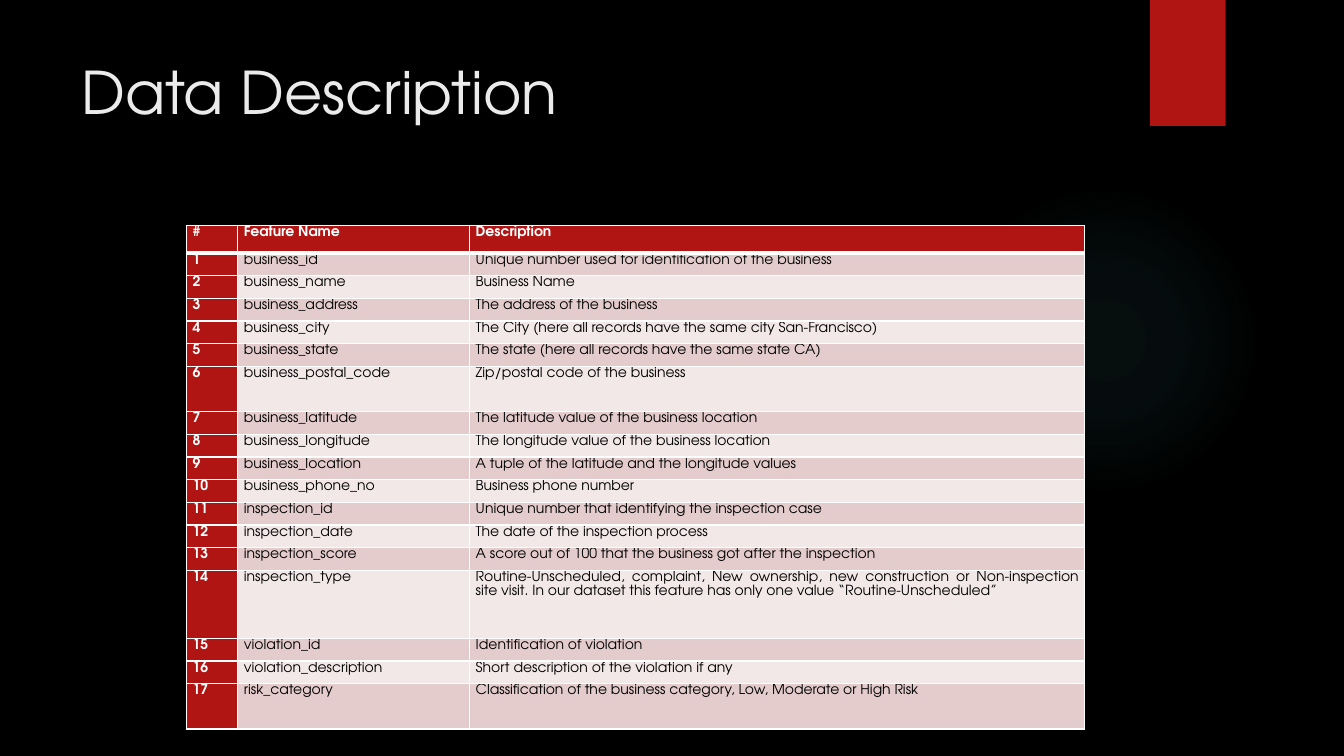
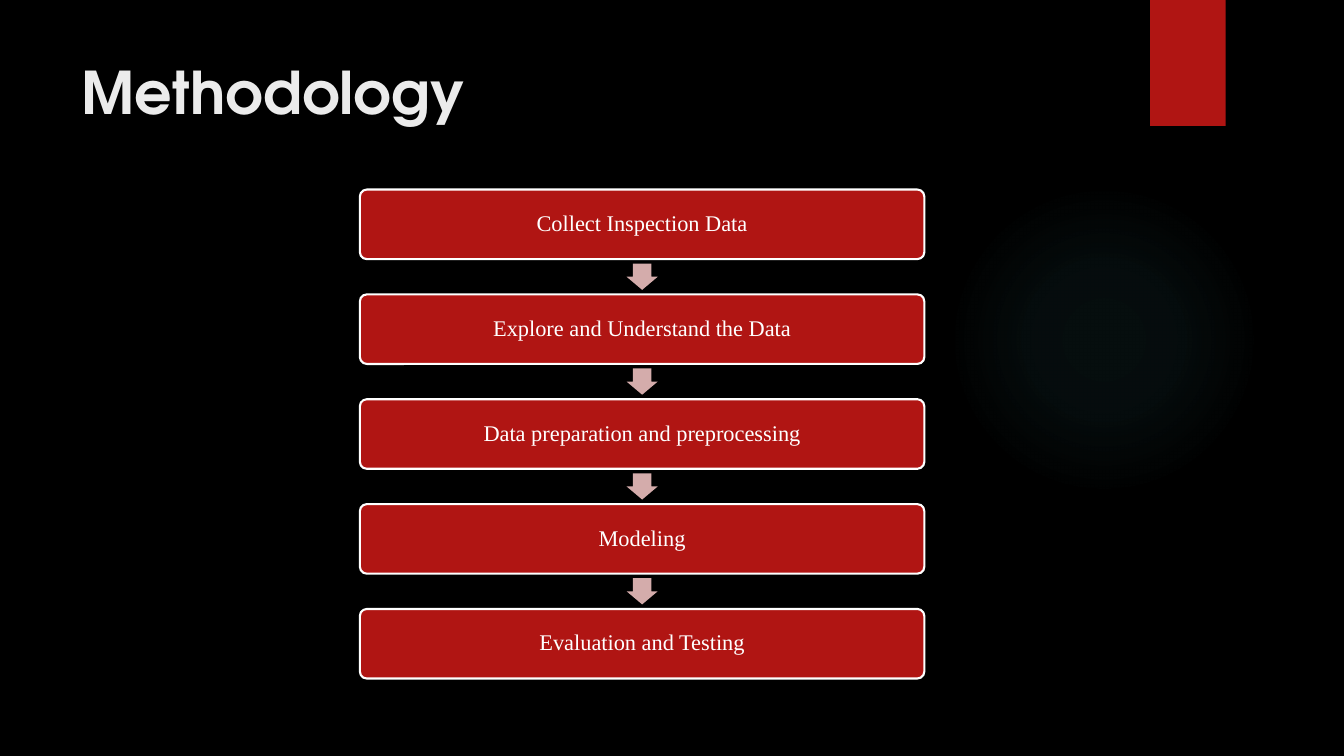
from dataclasses import dataclass

from pptx import Presentation
from pptx.dml.color import RGBColor
from pptx.enum.shapes import MSO_SHAPE
from pptx.enum.text import MSO_ANCHOR, PP_ALIGN
from pptx.oxml import parse_xml
from pptx.oxml.ns import nsdecls, qn
from pptx.util import Inches, Pt


@dataclass(frozen=True)
class Theme:
    background: str = "000000"
    accent: str = "B01513"
    arrow: str = "D4ACAB"
    glow: str = "50B9C1"
    heading: str = "EBEBEB"
    light: str = "FFFFFF"
    dark: str = "000000"
    bands: tuple = ("E4CCCC", "F2E8E7")
    heading_font: str = "TeX Gyre Adventor"
    step_font: str = "Times New Roman"
    title_size: int = 42
    step_size: int = 16
    table_size: int = 10


FEATURES = [
    ("business_id", "Unique number used for identification of the business"),
    ("business_name", "Business Name"),
    ("business_address", "The address of the business"),
    ("business_city", "The City (here all records have the same city San-Francisco)"),
    ("business_state", "The state (here all records have the same state CA)"),
    ("business_postal_code", "Zip/postal code of the business"),
    ("business_latitude", "The latitude value of the business location"),
    ("business_longitude", "The longitude value of the business location"),
    ("business_location", "A tuple of the latitude and the longitude values"),
    ("business_phone_no", "Business phone number"),
    ("inspection_id", "Unique number that identifying the inspection case"),
    ("inspection_date", "The date of the inspection process"),
    ("inspection_score", "A score out of 100 that the business got after the inspection"),
    ("inspection_type", "Routine-Unscheduled, complaint, New ownership, new construction or "
     "Non-inspection site visit. In our dataset this feature has only one value "
     "“Routine-Unscheduled”"),
    ("violation_id", "Identification of violation"),
    ("violation_description", "Short description of the violation if any"),
    ("risk_category", "Classification of the business category, Low, Moderate or High Risk"),
]

STEPS = [
    "Collect Inspection Data",
    "Explore and Understand the Data",
    "Data preparation and preprocessing",
    "Modeling",
    "Evaluation and Testing",
]


def apply(target, **values):
    for name, value in values.items():
        setattr(target, name, value)


class Builder:
    def __init__(self, theme):
        self.theme = theme
        self.deck = Presentation()
        apply(self.deck, slide_width=Inches(13.33), slide_height=Inches(7.5))
        self.page = None

    def across(self, share):
        return round(self.deck.slide_width * share / 100)

    def down(self, share):
        return round(self.deck.slide_height * share / 100)

    def place(self, left, top, width, height):
        return self.across(left), self.down(top), self.across(width), self.down(height)

    def add_text(self, frame, text, font, size, color, bold=False, **layout):
        para = frame.paragraphs[0]
        apply(para, **layout)
        span = para.add_run()
        span.text = text
        apply(span.font, name=font, size=Pt(size), bold=bold)
        span.font.color.rgb = RGBColor.from_string(color)

    def shape(self, kind, area, color=None, outline=None, adjustments=()):
        box = self.page.shapes.add_shape(kind, *self.place(*area))
        box.shadow.inherit = False
        for index, value in enumerate(adjustments):
            box.adjustments[index] = value
        if color:
            box.fill.solid()
            box.fill.fore_color.rgb = RGBColor.from_string(color)
        else:
            box.fill.background()
        if outline:
            box.line.color.rgb = RGBColor.from_string(outline)
            box.line.width = Pt(1.5)
        else:
            box.line.fill.background()
        return box

    def glow(self):
        box = self.shape(MSO_SHAPE.OVAL, (70.58, 24.4, 23.1, 41.07))
        stops = "".join(
            f'<a:gs pos="{position * 1000}"><a:srgbClr val="{self.theme.glow}">'
            f'<a:alpha val="{alpha * 1000}"/></a:srgbClr></a:gs>'
            for position, alpha in ((0, 7), (36, 6), (69, 0)))
        gradient = parse_xml(
            f'<a:gradFill {nsdecls("a")}><a:gsLst>{stops}</a:gsLst><a:path path="circle">'
            '<a:fillToRect l="50000" t="50000" r="50000" b="50000"/></a:path></a:gradFill>')
        properties = box.element.spPr
        properties.replace(properties.find(qn("a:noFill")), gradient)

    def title(self, text, bold):
        box = self.page.shapes.add_textbox(*self.place(5.33, 6.67, 77.2, 20.4))
        apply(box.text_frame, word_wrap=True, vertical_anchor=MSO_ANCHOR.TOP)
        self.add_text(box.text_frame, text, self.theme.heading_font, self.theme.title_size,
                      self.theme.heading, bold)

    def start_page(self, title, bold=False):
        self.page = self.deck.slides.add_slide(self.deck.slide_layouts[6])
        backdrop = self.page.background.fill
        backdrop.solid()
        backdrop.fore_color.rgb = RGBColor.from_string(self.theme.background)
        self.glow()
        self.shape(MSO_SHAPE.RECTANGLE, (85.58, 0, 5.62, 16.67), self.theme.accent)
        self.title(title, bold)

    def borders(self, cell, **widths):
        properties = cell._tc.get_or_add_tcPr()
        for side in "LRTB":
            width = Pt(widths.get(side, 1))
            properties.append(parse_xml(
                f'<a:ln{side} {nsdecls("a")} w="{width}"><a:solidFill>'
                f'<a:srgbClr val="{self.theme.light}"/></a:solidFill></a:ln{side}>'))

    def cell(self, cell, text, fill, color, bold, **widths):
        self.borders(cell, **widths)
        cell.fill.solid()
        cell.fill.fore_color.rgb = RGBColor.from_string(fill)
        apply(cell, margin_left=Inches(0.06), margin_right=Inches(0.06),
              margin_top=0, margin_bottom=0, vertical_anchor=MSO_ANCHOR.TOP)
        self.add_text(cell.text_frame, text, self.theme.heading_font, self.theme.table_size,
                      color, bold, alignment=PP_ALIGN.JUSTIFY, line_spacing=1.07)

    def table(self, left, top, columns, heights, rows):
        area = self.place(left, top, sum(columns), sum(heights))
        table = self.page.shapes.add_table(len(rows), len(columns), *area).table
        for column, share in zip(table.columns, columns):
            column.width = self.across(share)
        for row, share in zip(table.rows, heights):
            row.height = self.down(share)
        header_edge = {0: {"B": 3}, 1: {"T": 3}}
        for r, values in enumerate(rows):
            for c, text in enumerate(values):
                strong = r == 0 or c == 0
                fill = self.theme.accent if strong else self.theme.bands[(r - 1) % 2]
                color = self.theme.light if strong else self.theme.dark
                self.cell(table.cell(r, c), text, fill, color, strong,
                          **header_edge.get(r, {}))

    def step(self, text, area):
        box = self.shape(MSO_SHAPE.ROUNDED_RECTANGLE, area, self.theme.accent,
                         self.theme.light, (0.1,))
        apply(box.text_frame, word_wrap=True, vertical_anchor=MSO_ANCHOR.MIDDLE)
        self.add_text(box.text_frame, text, self.theme.step_font, self.theme.step_size,
                      self.theme.light, alignment=PP_ALIGN.CENTER, line_spacing=0.9)

    def flow(self, steps, left, top, width, height, pitch):
        arrow_width, arrow_height = 2.32, 3.47
        arrow_left = left + (width - arrow_width) / 2
        arrow_drop = (height + pitch - arrow_height) / 2
        for index, text in enumerate(steps):
            step_top = top + index * pitch
            if index:
                self.shape(MSO_SHAPE.DOWN_ARROW,
                           (arrow_left, step_top - pitch + arrow_drop, arrow_width, arrow_height),
                           self.theme.arrow, adjustments=(0.6, 0.5))
            self.step(text, (left, step_top, width, height))


def main():
    builder = Builder(Theme())

    builder.start_page("Data Description")
    rows = [("#", "Feature Name", "Description")]
    rows += [(str(number), *feature) for number, feature in enumerate(FEATURES, 1)]
    line = 3
    tall_rows = {0: 1.2, 6: 2, 14: 3, 17: 2}
    heights = [line * tall_rows.get(index, 1) for index in range(len(rows))]
    builder.table(13.88, 29.87, (3.82, 17.25, 45.75), heights, rows)

    builder.start_page("Methodology", bold=True)
    builder.flow(STEPS, left=26.78, top=25.07, width=42, height=9.2, pitch=13.87)

    builder.deck.save("out.pptx")


if __name__ == "__main__":
    main()
